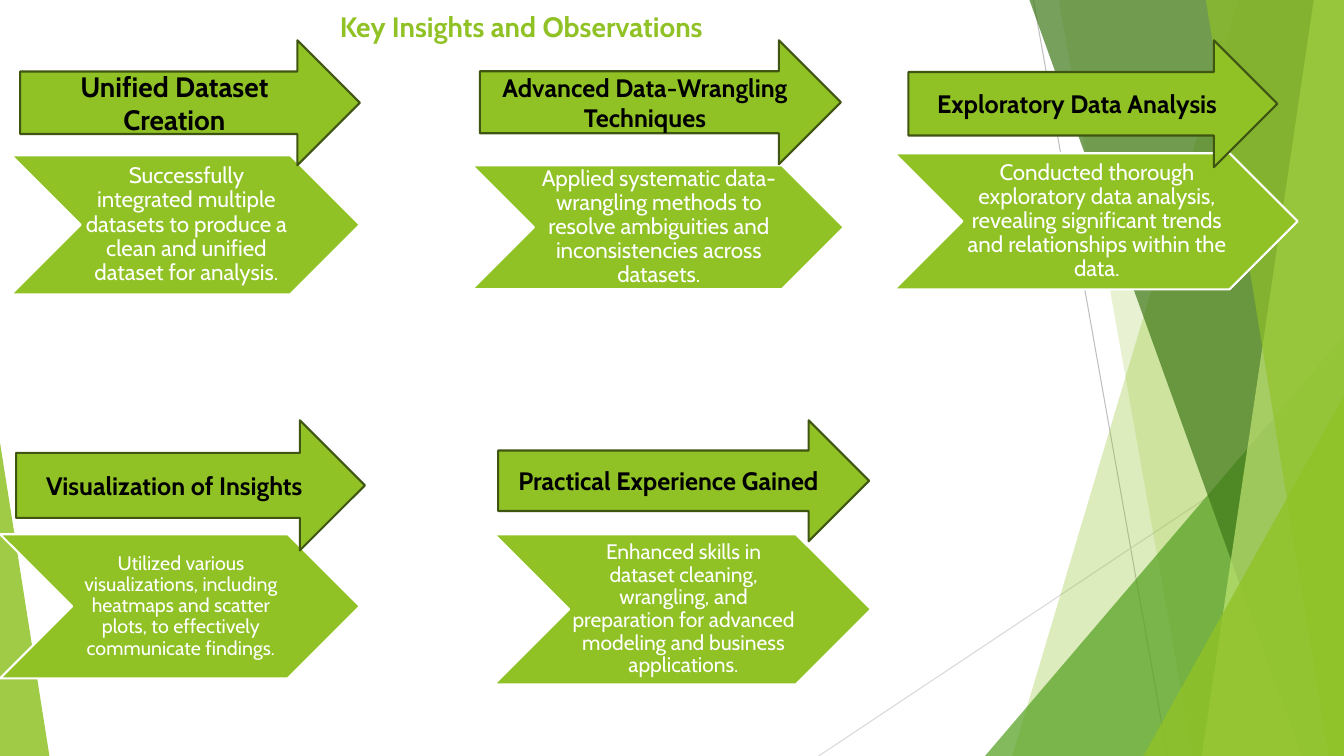
"""Build the Key Insights and Observations slide with paired arrows and chevrons."""
from lxml import etree
from pptx import Presentation
from pptx.dml.color import RGBColor
from pptx.enum.shapes import MSO_CONNECTOR, MSO_SHAPE
from pptx.enum.text import MSO_ANCHOR, PP_ALIGN
from pptx.oxml.ns import qn
from pptx.util import Inches, Pt

COLOURS = {
    "lime": "90C226", "leaf": "54A021", "forest": "3F7819", "pale": "C0E474",
    "olive": "3F5511", "white": "FFFFFF", "black": "000000",
    "grey": "BFBFBF", "light grey": "D9D9D9",
}
WIDTH, HEIGHT = 13.33, 7.5


def style_shape(shape, fill, opacity=100, outline=None):
    shape.shadow.inherit = False
    shape.fill.solid()
    shape.fill.fore_color.rgb = RGBColor.from_string(COLOURS[fill])
    if opacity < 100:
        colour = shape.fill._xPr.find(qn("a:solidFill"))[0]
        etree.SubElement(colour, qn("a:alpha"), val=str(opacity * 1000))
    if outline:
        shape.line.color.rgb = RGBColor.from_string(COLOURS[outline])
        shape.line.width = Pt(1.5)
    else:
        shape.line.fill.background()


def write_text(shape, text, size, colour, bold=False, alignment=PP_ALIGN.CENTER):
    frame = shape.text_frame
    frame.word_wrap = True
    frame.vertical_anchor = MSO_ANCHOR.MIDDLE
    paragraph = frame.paragraphs[0]
    paragraph.text = text
    paragraph.alignment = alignment
    paragraph.font.name = "Cabin"
    paragraph.font.size = Pt(size)
    paragraph.font.bold = bold
    paragraph.font.color.rgb = RGBColor.from_string(COLOURS[colour])
    return frame


presentation = Presentation()
presentation.slide_width = Inches(WIDTH)
presentation.slide_height = Inches(HEIGHT)
slide = presentation.slides.add_slide(presentation.slide_layouts[5])
shapes = slide.shapes

title = shapes.title
title.left, title.top = Inches(3.27), Inches(0.04)
title.width, title.height = Inches(5.97), Inches(0.44)
write_text(title, "Key Insights and Observations", 20, "lime", True, PP_ALIGN.LEFT)

thin_lines = [
    (10.25, 0, 11.58, HEIGHT, "grey"),
    (WIDTH, 4.03, 8.12, HEIGHT, "light grey"),
]
for *ends, colour in thin_lines:
    line = shapes.add_connector(MSO_CONNECTOR.STRAIGHT, *map(Inches, ends))
    line.line.color.rgb = RGBColor.from_string(COLOURS[colour])
    line.line.width = Pt(0.75)
    etree.SubElement(line._element.spPr, qn("a:effectLst"))

# Bands give top and bottom x; triangles give left, top, width and apex position.
facets = [
    ((12.28, 10.04), "lime", 30),
    ((10.5, 11.83), "lime", 20),
    ((9.77, 3.33, 3.56, 1), "leaf", 72),
    ((10.21, 12.91), "forest", 70),
    ((13.03, 11.92), "pale", 70),
    ((11.96, 13.18), "lime", 65),
    ((11.34, 3.93, 1.99, 1), "lime", 80),
    ((0, 4.39, 0.49, 0), "lime", 85),
]
for geometry, colour, opacity in facets:
    if len(geometry) == 2:
        top_x, bottom_x = geometry
        corners = [(WIDTH, 0), (WIDTH, HEIGHT), (bottom_x, HEIGHT)]
        builder = shapes.build_freeform(Inches(top_x), 0)
        builder.add_line_segments([(Inches(x), Inches(y)) for x, y in corners])
        facet = builder.convert_to_shape()
    else:
        left, top, width, apex = geometry
        facet = shapes.add_shape(MSO_SHAPE.ISOSCELES_TRIANGLE, Inches(left), Inches(top),
                                 Inches(width), Inches(HEIGHT - top))
        facet.adjustments[0] = apex
    style_shape(facet, colour, opacity)

insights = [
    ("Unified Dataset Creation", 20, (0.2, 0.4, 3.37, 1.24),
     "Successfully integrated multiple datasets to produce a clean and unified dataset "
     "for analysis.", 16, (0.11, 1.54, 3.46, 1.38)),
    ("Advanced Data-Wrangling Techniques", 18, (4.76, 0.4, 3.58, 1.23),
     "Applied systematic data-wrangling methods to resolve ambiguities and "
     "inconsistencies across datasets.", 16, (4.68, 1.64, 3.69, 1.23)),
    ("Exploratory Data Analysis", 18, (9.01, 0.4, 3.66, 1.26),
     "Conducted thorough exploratory data analysis, revealing significant trends and "
     "relationships within the data.", 16, (8.87, 1.52, 4, 1.35)),
    ("Visualization of Insights", 18, (0.16, 4.17, 3.46, 1.29),
     "Utilized various visualizations, including heatmaps and scatter plots, to "
     "effectively communicate findings.", 14, (0, 5.3, 3.57, 1.43)),
    ("Practical Experience Gained", 18, (4.94, 4.17, 3.68, 1.2),
     "Enhanced skills in dataset cleaning, wrangling, and preparation for advanced "
     "modeling and business applications.", 15, (4.9, 5.3, 3.74, 1.49)),
]
for heading, heading_size, arrow_box, detail, detail_size, chevron_box in insights:
    chevron = shapes.add_shape(MSO_SHAPE.CHEVRON, *map(Inches, chevron_box))
    style_shape(chevron, "lime", outline="white")
    frame = write_text(chevron, detail, detail_size, "white")
    frame.margin_left, frame.margin_right = Inches(0.02), 0
    frame.margin_top = frame.margin_bottom = Inches(0.01)
    frame.paragraphs[0].line_spacing = 0.9

    arrow = shapes.add_shape(MSO_SHAPE.RIGHT_ARROW, *map(Inches, arrow_box))
    style_shape(arrow, "lime", outline="olive")
    write_text(arrow, heading, heading_size, "black", True)

presentation.save("out.pptx")
